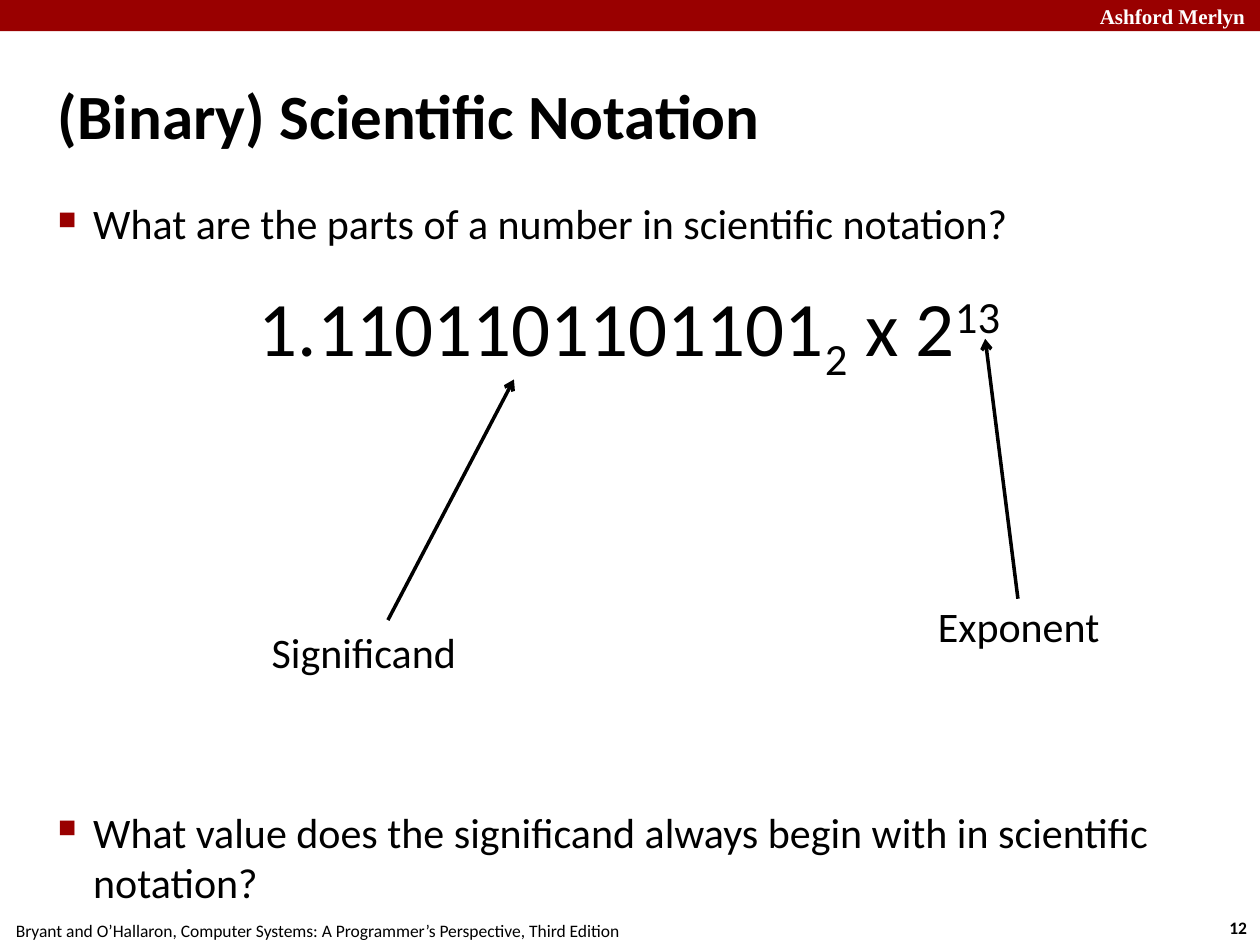
from dataclasses import dataclass

from lxml import etree
from pptx import Presentation
from pptx.dml.color import RGBColor
from pptx.enum import shapes, text
from pptx.oxml.ns import qn
from pptx.util import Cm, Pt

ALIGN = text.PP_ALIGN


@dataclass(frozen=True)
class Theme:
    ink: str = "000000"
    red: str = "990000"
    white: str = "FFFFFF"
    sans: str = "Calibri"
    serif: str = "Times New Roman"
    title: int = 36
    body: int = 24
    formula: int = 44
    brand: int = 12
    foot: int = 10
    line: int = 2
    indent: float = 0.71


class Deck:
    def __init__(self, theme):
        self.theme = theme
        self.prs = Presentation()
        self.prs.slide_width, self.prs.slide_height = Cm(25.4), Cm(19.05)
        self.slide = self.prs.slides.add_slide(self.prs.slide_layouts[6])

    def style(self, para, size, bold=False, color=None, face=None):
        for run in para.runs:
            font = run.font
            font.size, font.bold = Pt(size), bold
            font.name = face or self.theme.sans
            font.color.rgb = RGBColor.from_string(color or self.theme.ink)

    def frame(self, box, wrap=True, inset=None):
        tf = self.slide.shapes.add_textbox(*map(Cm, box)).text_frame
        tf.word_wrap = wrap
        if inset is not None:
            tf.margin_left = tf.margin_right = Cm(inset)
            tf.margin_top = tf.margin_bottom = Cm(inset)
        return tf

    def label(self, words, box, size, align=ALIGN.CENTER, wrap=True,
              inset=None, **look):
        tf = self.frame(box, wrap, inset)
        tf.text = words
        tf.paragraphs[0].alignment = align
        self.style(tf.paragraphs[0], size, **look)
        return tf

    def bar(self, box, color):
        shape = self.slide.shapes.add_shape(
            shapes.MSO_SHAPE.RECTANGLE, *map(Cm, box))
        shape.shadow.inherit = False
        shape.fill.solid()
        shape.fill.fore_color.rgb = RGBColor.from_string(color)
        shape.line.fill.background()

    def list(self, items, box, inset):
        """Add bulleted items, each a pair of text and space before in points."""
        tf = self.frame(box, inset=inset)
        tf.text = "\n".join(words for words, _ in items)
        for para, (_, gap) in zip(tf.paragraphs, items):
            para.space_before = Pt(gap)
            self.style(para, self.theme.body)
            self.bullet(para)

    def bullet(self, para):
        props = para._p.get_or_add_pPr()
        step = Cm(self.theme.indent)
        props.set("marL", str(step))
        props.set("indent", str(-step))
        color = etree.SubElement(props, qn("a:buClr"))
        etree.SubElement(color, qn("a:srgbClr"), val=self.theme.red)
        etree.SubElement(props, qn("a:buSzPct"), val="60000")
        etree.SubElement(props, qn("a:buChar"), char="■")

    def formula(self, parts, box):
        """Add centred parts, each a pair of text and baseline shift in percent."""
        para = self.frame(box).paragraphs[0]
        para.alignment = ALIGN.CENTER
        for words, shift in parts:
            run = para.add_run()
            run.text = words
            if shift:
                run._r.get_or_add_rPr().set("baseline", str(shift * 1000))
        self.style(para, self.theme.formula)

    def arrow(self, start, end):
        line = self.slide.shapes.add_connector(
            shapes.MSO_CONNECTOR.STRAIGHT, *map(Cm, start + end))
        line.line.color.rgb = RGBColor.from_string(self.theme.ink)
        line.line.width = Pt(self.theme.line)
        etree.SubElement(line.line._get_or_add_ln(), qn("a:tailEnd"), type="arrow")
        etree.SubElement(line._element.spPr, qn("a:effectLst"))

    def save(self):
        self.prs.save("out.pptx")


def main():
    look = Theme()
    deck = Deck(look)

    deck.label("12", (24.49, 18.36, 0.94, 0.69), look.foot, wrap=False, bold=True)
    deck.label("Bryant and O’Hallaron, Computer Systems: "
               "A Programmer’s Perspective, Third Edition",
               (-0.05, 18.42, 12.9, 0.69), look.foot, wrap=False)
    deck.bar((0, 0, 25.4, 0.63), look.red)
    deck.label("Ashford Merlyn", (20.33, -0.05, 5.02, 0.76), look.brand,
               ALIGN.RIGHT, bold=True, color=look.white, face=look.serif)

    title = deck.label("(Binary) Scientific Notation", (1.07, 0.71, 23.29, 3.18),
                       look.title, ALIGN.LEFT, inset=0.1, bold=True)
    title.vertical_anchor = text.MSO_ANCHOR.MIDDLE

    deck.list([
        ("What are the parts of a number in scientific notation?", 6),
        ("What value does the significand always begin with in scientific "
         "notation?", 319),
    ], (1.07, 3.89, 23.29, 15.09), inset=0.1)

    deck.formula([("1.1101101101101", 0), ("2", -25), (" x 2", 0), ("13", 30)],
                 (4.32, 5.51, 16.74, 2.13))

    deck.arrow((7.82, 12.5), (10.36, 7.65))
    deck.arrow((20.52, 12.07), (19.86, 6.83))
    for words, left, top in (("Significand", 0.97, 12.5),
                             ("Exponent", 14.17, 11.99)):
        deck.label(words, (left, top, 12.73, 1.27), look.body)

    deck.save()


if __name__ == "__main__":
    main()
